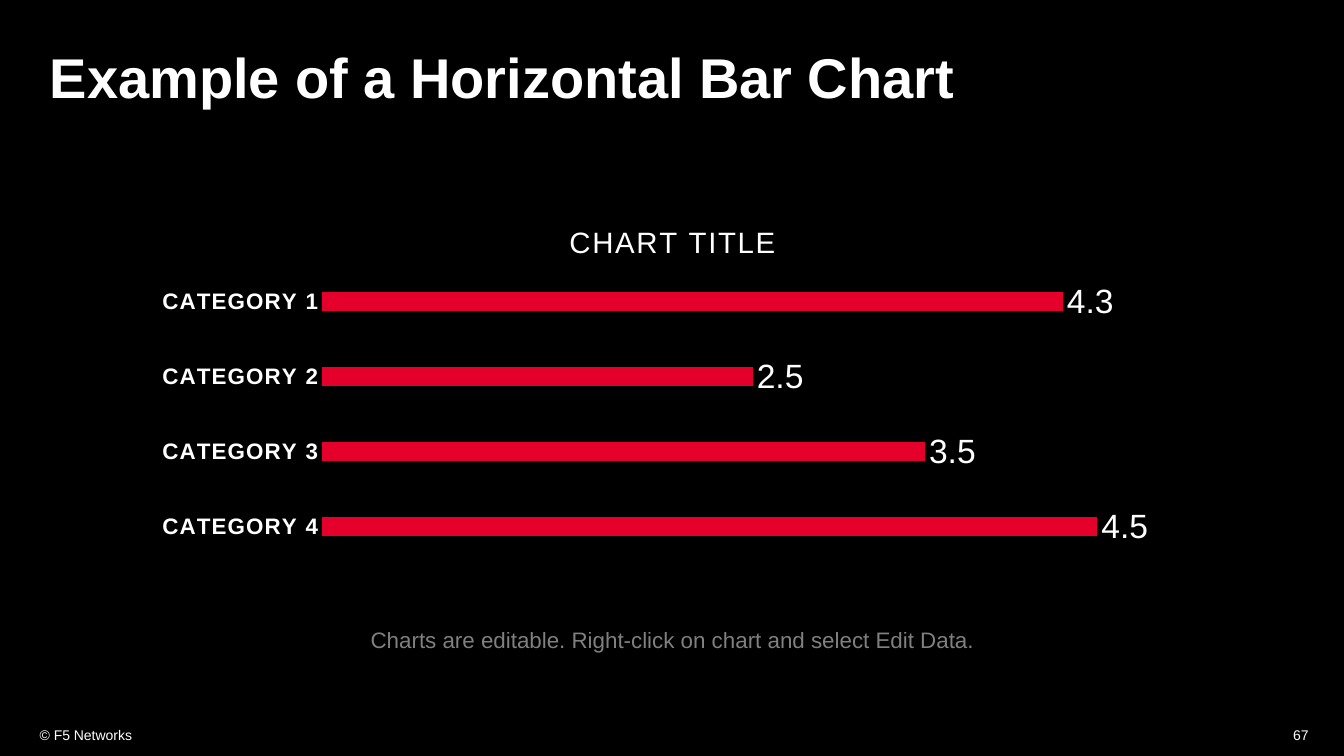
from lxml.etree import SubElement
from pptx import Presentation
from pptx.chart.data import CategoryChartData as Data
from pptx.dml.color import RGBColor
from pptx.enum.chart import XL_CHART_TYPE as Kind, XL_LABEL_POSITION as Spot, XL_TICK_MARK as Tick
from pptx.enum.text import MSO_ANCHOR as Anchor, MSO_AUTO_SIZE as Auto, PP_ALIGN as Align
from pptx.oxml import parse_xml
from pptx.oxml.ns import nsdecls, qn
from pptx.util import Cm, Pt

WHITE, RED, BLACK = "FFFFFF", "E4002B", "000000"
TITLE = "Example of a Horizontal Bar Chart"
HEAD = "CHART TITLE"
BARS = {"CATEGORY 1": 4.3, "CATEGORY 2": 2.5, "CATEGORY 3": 3.5, "CATEGORY 4": 4.5}
NOTES = [
    ("© F5 Networks", (0.58, 18.01, 11.43, 1.02), dict(size=10, anchor=Anchor.MIDDLE)),
    ("67", (25.02, 18.01, 8.38, 1.02),
     dict(size=10, anchor=Anchor.MIDDLE, align=Align.RIGHT)),
    ("Charts are editable. Right-click on chart and select Edit Data.",
     (8.79, 15.44, 16.31, 1.55), dict(size=16, align=Align.CENTER, alpha=50, grow=True)),
]
AREA = (3.51, 5.08, 26.87, 9.32)
PLOT = dict(x=0.1715, y=0.169, w=0.808, h=0.811)
HEAD_AT = dict(x=0.3985, y=0.045)


def color(hue):
    return RGBColor.from_string(hue)


def style(font, size, bold=False, gap=0):
    font.name, font.size, font.bold = "Arial", Pt(size), bold
    font.color.rgb = color(WHITE)
    if gap:
        font._rPr.set("spc", str(gap))


def write(shape, text, size, bold=False, align=Align.LEFT, anchor=Anchor.TOP,
          alpha=None, grow=False, lead=None):
    frame = shape.text_frame
    frame.word_wrap = True
    frame.auto_size = Auto.SHAPE_TO_FIT_TEXT if grow else Auto.NONE
    frame.vertical_anchor = anchor
    frame.margin_left = frame.margin_right = Cm(0.42)
    frame.margin_top = frame.margin_bottom = Cm(0.42)
    para = frame.paragraphs[0]
    para.alignment, para.line_spacing = align, lead
    run = para.add_run()
    run.text = text
    style(run.font, size, bold)
    if alpha:
        tone = run._r.rPr.find(".//" + qn("a:srgbClr"))
        SubElement(tone, qn("a:alpha")).set("val", str(alpha * 1000))


def layout(parent, index, inner=False, **parts):
    for old in parent.findall(qn("c:layout")):
        parent.remove(old)
    rows = '<c:layoutTarget val="inner"/>' if inner else ""
    rows += "".join(f'<c:{k}Mode val="edge"/>' for k in "xy")
    rows += "".join(f'<c:{k} val="{v}"/>' for k, v in parts.items())
    node = f'<c:layout {nsdecls("c")}><c:manualLayout>{rows}</c:manualLayout></c:layout>'
    parent.insert(index, parse_xml(node))


def draw(slide):
    data = Data()
    data.categories = list(BARS)
    data.add_series("Series 1", list(BARS.values()))
    chart = slide.shapes.add_chart(Kind.BAR_CLUSTERED, *map(Cm, AREA), data).chart
    style(chart.font, 10)
    chart.has_legend = False

    chart.has_title = True
    head = chart.chart_title.text_frame.paragraphs[0].add_run()
    head.text = HEAD
    style(head.font, 21, gap=120)
    chart.chart_title.include_in_layout = False
    layout(chart.chart_title._element, 1, **HEAD_AT)
    layout(chart._chartSpace.chart.plotArea, 0, inner=True, **PLOT)

    cats, vals = chart.category_axis, chart.value_axis
    cats.reverse_order = True
    cats.major_tick_mark = cats.minor_tick_mark = Tick.NONE
    cats.format.line.fill.background()
    style(cats.tick_labels.font, 16, bold=True, gap=100)
    vals.minimum_scale, vals.maximum_scale = 0, 5
    vals.has_major_gridlines = False
    vals.visible = False

    plot = chart.plots[0]
    plot.gap_width = 294
    plot.vary_by_categories = False
    fill = plot.series[0].format.fill
    fill.solid()
    fill.fore_color.rgb = color(RED)
    plot.has_data_labels = True
    labels = plot.data_labels
    labels.show_value = True
    labels.position = Spot.OUTSIDE_END
    style(labels.font, 24)


def main():
    deck = Presentation()
    deck.slide_width, deck.slide_height = Cm(33.87), Cm(19.05)
    slide = deck.slides.add_slide(deck.slide_layouts[5])
    back = slide.background.fill
    back.solid()
    back.fore_color.rgb = color(BLACK)

    title = slide.shapes.title
    title.left, title.top, title.width, title.height = map(Cm, (0.84, 0.84, 32.18, 2.41))
    write(title, TITLE, 40, bold=True, grow=True, lead=0.9)
    for text, box, form in NOTES:
        write(slide.shapes.add_textbox(*map(Cm, box)), text, **form)
    draw(slide)
    deck.save("out.pptx")


if __name__ == "__main__":
    main()
